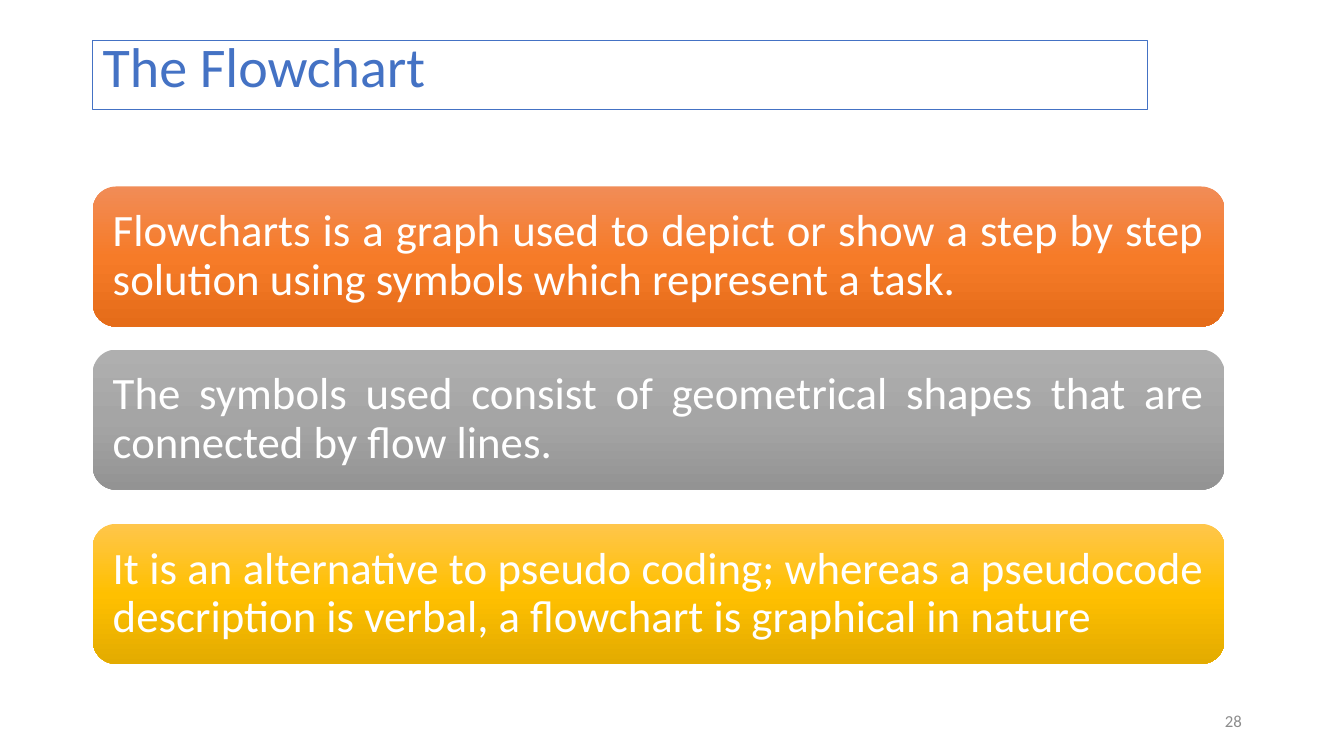
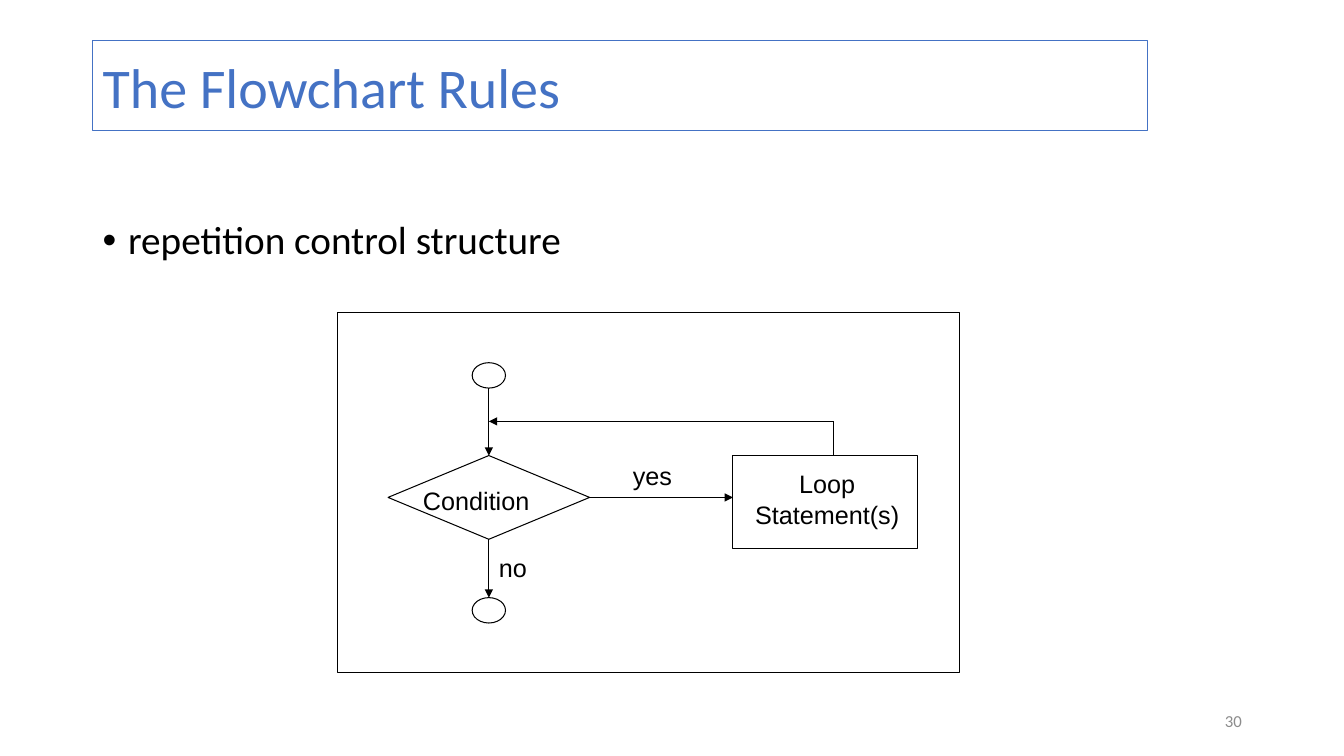
from copy import deepcopy
from dataclasses import dataclass
from typing import NamedTuple, Optional

from lxml.etree import SubElement
from pptx import Presentation
from pptx.dml.color import RGBColor
from pptx.enum.shapes import MSO_CONNECTOR, MSO_SHAPE as Preset
from pptx.enum.text import MSO_ANCHOR as Anchor, PP_ALIGN as Align
from pptx.oxml.ns import qn
from pptx.util import Cm, Pt


# Theme
@dataclass(frozen=True)
class Theme:
    heading_font: str = "Calibri"
    diagram_font: str = "Arial"
    accent: str = "4472C4"
    ink: str = "000000"
    white: str = "FFFFFF"
    muted: str = "8C8C8C"
    title_size: float = 40
    card_size: float = 32
    body_size: float = 28
    label_size: float = 18
    number_size: float = 12
    line_width: float = 0.75
    line_spacing: float = 0.9


THEME = Theme()


# Repeated elements, lengths in centimetres
class Area(NamedTuple):
    left: float
    top: float
    width: float
    height: float

    @property
    def center_x(self) -> float:
        return self.left + self.width / 2

    @property
    def center_y(self) -> float:
        return self.top + self.height / 2

    @property
    def right(self) -> float:
        return self.left + self.width

    @property
    def bottom(self) -> float:
        return self.top + self.height

    def lengths(self) -> tuple:
        return tuple(Cm(value) for value in self)


class Card(NamedTuple):
    top: float
    gradient: tuple
    text: str


class Arrow(NamedTuple):
    start: tuple
    end: tuple
    head: bool = True
    begin_joint: Optional[tuple] = None
    end_joint: Optional[tuple] = None


class Label(NamedTuple):
    text: str
    area: Area
    wrap: bool = True


MARGIN = 2.34
CARDS = (
    Card(4.7, ("F18C57", "F67B28", "E56C19"),
         "Flowcharts is a graph used to depict or show a step by step "
         "solution using symbols which represent a task."),
    Card(8.81, ("AFAFAF", "A5A5A5", "939393"),
         "The symbols used consist of geometrical shapes that are "
         "connected by flow lines."),
    Card(13.2, ("FFC64B", "FFC000", "E3AB00"),
         "It is an alternative to pseudo coding; whereas a pseudocode "
         "description is verbal, a flowchart is graphical in nature"),
)


# Drawing helpers
def write_text(box, text: str, *, size: float, color: str,
               font: str = THEME.heading_font, align=Align.LEFT,
               anchor=Anchor.TOP, insets: tuple = (0.25, 0.13, 0.25, 0.13),
               spacing: Optional[float] = None, wrap: bool = True,
               bullet: bool = False) -> None:
    """Fill a box with one paragraph per line; insets run left, top, right, bottom."""
    frame = box.text_frame
    frame.word_wrap = wrap
    frame.vertical_anchor = anchor
    (frame.margin_left, frame.margin_top,
     frame.margin_right, frame.margin_bottom) = (Cm(inset) for inset in insets)
    for index, line in enumerate(text.split("\n")):
        para = frame.add_paragraph() if index else frame.paragraphs[0]
        para.alignment = align
        if spacing:
            para.line_spacing = spacing
        if bullet:
            add_bullet(para)
        span = para.add_run()
        span.text = line
        span.font.name = font
        span.font.size = Pt(size)
        span.font.color.rgb = RGBColor.from_string(color)


def add_bullet(para) -> None:
    properties = para._p.get_or_add_pPr()
    properties.set("marL", str(Cm(0.64)))
    properties.set("indent", str(-Cm(0.64)))
    SubElement(properties, qn("a:buFont"), typeface=THEME.diagram_font)
    SubElement(properties, qn("a:buChar"), char="•")


def add_outline(page, preset, area: Area, color: str = THEME.ink):
    """Add an unfilled preset shape with a thin line."""
    shape = page.shapes.add_shape(preset, *area.lengths())
    shape.shadow.inherit = False
    shape.fill.background()
    shape.line.color.rgb = RGBColor.from_string(color)
    shape.line.width = Pt(THEME.line_width)
    return shape


def fill_gradient(shape, colors: tuple) -> None:
    """Spread three colours evenly from top to bottom."""
    shape.fill.gradient()
    shape.fill.gradient_angle = 270
    stop_list = shape._element.spPr.find(".//" + qn("a:gsLst"))
    stop_list.append(deepcopy(stop_list[0]))
    for index, (stop, color) in enumerate(zip(shape.fill.gradient_stops, colors)):
        stop.position = index / (len(colors) - 1)
        stop.color.rgb = RGBColor.from_string(color)


def add_card(page, card: Card) -> None:
    area = Area(MARGIN, card.top, 28.52, 3.53)
    shape = page.shapes.add_shape(Preset.ROUNDED_RECTANGLE, *area.lengths())
    shape.shadow.inherit = False
    fill_gradient(shape, card.gradient)
    shape.line.fill.background()
    write_text(shape, card.text, size=THEME.card_size, color=THEME.white,
               align=Align.JUSTIFY, anchor=Anchor.MIDDLE,
               insets=(0.33,) * 4, spacing=THEME.line_spacing)


def add_arrow(page, arrow: Arrow) -> None:
    ends = (Cm(value) for value in (*arrow.start, *arrow.end))
    line = page.shapes.add_connector(MSO_CONNECTOR.STRAIGHT, *ends)
    if arrow.begin_joint:
        line.begin_connect(*arrow.begin_joint)
    if arrow.end_joint:
        line.end_connect(*arrow.end_joint)
    line.line.color.rgb = RGBColor.from_string(THEME.ink)
    line.line.width = Pt(THEME.line_width)
    if arrow.head:
        SubElement(line.line._get_or_add_ln(), qn("a:tailEnd"), type="triangle")
    SubElement(line._element.spPr, qn("a:effectLst"))


def add_page(deck, title: str, title_height: float, number: str):
    """Add a blank page with the shared title box and page number."""
    page = deck.slides.add_slide(deck.slide_layouts[6])
    title_box = add_outline(page, Preset.RECTANGLE,
                            Area(MARGIN, 1.02, 26.59, title_height), THEME.accent)
    write_text(title_box, title, size=THEME.title_size, color=THEME.accent,
               anchor=Anchor.BOTTOM, insets=(0.25,) * 4,
               spacing=THEME.line_spacing)
    number_box = page.shapes.add_textbox(*Area(23.93, 17.65, 7.62, 1.02).lengths())
    write_text(number_box, number, size=THEME.number_size, color=THEME.muted,
               align=Align.RIGHT, anchor=Anchor.MIDDLE, insets=(0.25,) * 4)
    return page


# Repetition diagram
def draw_loop(page) -> None:
    decision_area = Area(9.78, 11.48, 5.08, 2.11)
    process_area = Area(18.47, 11.48, 4.65, 2.34)
    spine, flow_y = decision_area.center_x, decision_area.center_y
    start_area = Area(spine - 0.42, 9.14, 0.84, 0.64)
    end_area = start_area._replace(top=15.06)
    return_x, return_y = 21.01, 10.62

    add_outline(page, Preset.RECTANGLE, Area(8.51, 7.87, 15.67, 9.09))
    decision = add_outline(page, Preset.FLOWCHART_DECISION, decision_area)
    process = add_outline(page, Preset.FLOWCHART_PROCESS, process_area)
    add_outline(page, Preset.OVAL, start_area)
    finish = add_outline(page, Preset.OVAL, end_area)
    write_text(process, "Loop\nStatement(s)", size=THEME.label_size,
               color=THEME.ink, font=THEME.diagram_font, align=Align.CENTER,
               insets=(0.3, 0.33, 0.2, 0.13))

    arrows = (
        Arrow((spine, start_area.bottom), (spine, decision_area.top),
              end_joint=(decision, 0)),
        Arrow((decision_area.right, flow_y), (process_area.left, flow_y),
              begin_joint=(decision, 3)),
        Arrow((return_x, process_area.top), (return_x, return_y), head=False),
        Arrow((return_x, return_y), (spine, return_y)),
        Arrow((spine, decision_area.bottom), (spine, end_area.top),
              begin_joint=(decision, 2), end_joint=(finish, 0)),
    )
    for arrow in arrows:
        add_arrow(page, arrow)

    labels = (
        Label("Condition", Area(10.41, 12.09, 3.2, 1.02), wrap=False),
        Label("yes", Area(15.7, 11.48, 1.9, 1.02)),
        Label("no", Area(spine, 13.79, 1.9, 1.02)),
    )
    for label in labels:
        box = page.shapes.add_textbox(*label.area.lengths())
        write_text(box, label.text, size=THEME.label_size, color=THEME.ink,
                   font=THEME.diagram_font, wrap=label.wrap)


# Pages
def build_definition(deck) -> None:
    page = add_page(deck, "The Flowchart", 1.73, "28")
    for card in CARDS:
        add_card(page, card)


def build_rules(deck) -> None:
    page = add_page(deck, "The Flowchart Rules", 2.26, "30")
    body = page.shapes.add_textbox(*Area(MARGIN, 5.44, 17.32, 12.9).lengths())
    write_text(body, "repetition control structure", size=THEME.body_size,
               color=THEME.ink, spacing=THEME.line_spacing, bullet=True)
    draw_loop(page)


def main() -> None:
    deck = Presentation()
    deck.slide_width, deck.slide_height = Cm(33.87), Cm(19.05)
    build_definition(deck)
    build_rules(deck)
    deck.save("out.pptx")


if __name__ == "__main__":
    main()
